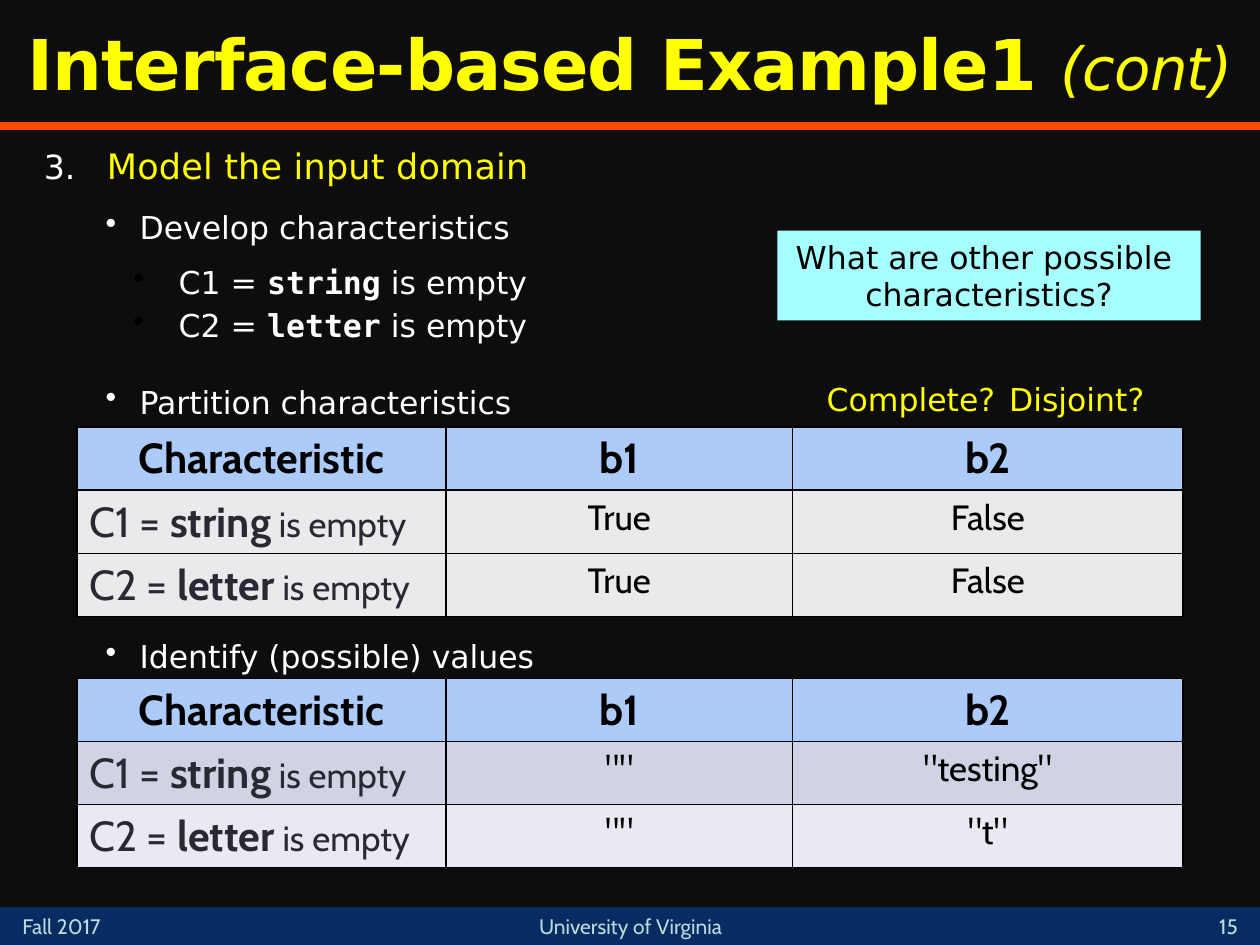
import dataclasses
import typing

import lxml.etree
import pptx
import pptx.dml.color
import pptx.enum.shapes
import pptx.enum.text
import pptx.oxml.ns
import pptx.util

WIDE, HIGH = pptx.util.Inches(10), pptx.util.Inches(7.5)
HUES = {
    "back": "0D0D0D", "foot": "072C62", "pale": "BDDADF", "rule": "FF4C00",
    "gold": "FFFF00", "white": "FFFFFF", "black": "000000", "aqua": "A7FEFF",
    "head": "ACCBF9", "ink": "292934", "gray": "EBE9EC", "dusk": "D0D3E3",
    "mist": "E9EAF1",
}
SANS, MONO, CABIN = "DejaVu Sans", "DejaVu Sans Mono", "Cabin"
ALIGN = pptx.enum.text.PP_ALIGN
ANCHOR = pptx.enum.text.MSO_ANCHOR


class Box(typing.NamedTuple):
    """Place in percent of the slide's width and height."""
    left: float
    top: float
    width: float
    height: float

    def place(self) -> tuple[int, ...]:
        sides = (WIDE, HIGH, WIDE, HIGH)
        return tuple(round(part * side / 100) for part, side in zip(self, sides))


@dataclasses.dataclass
class Run:
    text: str
    size: float = 18
    hue: str = "white"
    font: str = SANS
    bold: bool = False
    slant: bool = False
    track: int = 0


@dataclasses.dataclass
class Line:
    runs: list[Run]
    align: ALIGN = ALIGN.LEFT
    before: float = 0
    after: float = 0
    inset: float = 0
    hang: float = 0
    mark: str = ""
    dot: str = "white"


@dataclasses.dataclass
class Grid:
    top: float
    fills: tuple[str, str]
    values: list[tuple[str, str]]


def color(name: str) -> pptx.dml.color.RGBColor:
    return pptx.dml.color.RGBColor.from_string(HUES[name])


def child(node, tag: str, **attrs: str):
    return lxml.etree.SubElement(node, pptx.oxml.ns.qn(tag), **attrs)


def bullet(para, line: Line) -> None:
    props = para._p.get_or_add_pPr()
    props.set("marL", str(pptx.util.Inches(line.inset)))
    props.set("indent", str(-pptx.util.Inches(line.hang)))
    child(child(props, "a:buClr"), "a:srgbClr", val=HUES[line.dot])
    if line.mark.isdigit():
        child(props, "a:buSzPct", val="95000")
        child(props, "a:buAutoNum", type="arabicPeriod", startAt=line.mark)
    else:
        child(props, "a:buChar", char=line.mark)


def write(frame, lines: list[Line]) -> None:
    for rank, line in enumerate(lines):
        para = frame.add_paragraph() if rank else frame.paragraphs[0]
        para.alignment = line.align
        para.space_before = pptx.util.Pt(line.before)
        para.space_after = pptx.util.Pt(line.after)
        if line.mark:
            bullet(para, line)
        for part in line.runs:
            run = para.add_run()
            run.text = part.text
            run.font.size = pptx.util.Pt(part.size)
            run.font.name = part.font
            run.font.bold, run.font.italic = part.bold, part.slant
            run.font.color.rgb = color(part.hue)
            if part.track:
                run._r.get_or_add_rPr().set("spc", str(part.track))


def label(slide, box: Box, lines: list[Line], anchor=ANCHOR.TOP, wrap=True):
    frame = slide.shapes.add_textbox(*box.place()).text_frame
    frame.word_wrap = wrap
    frame.vertical_anchor = anchor
    write(frame, lines)
    return frame


def block(slide, box: Box, hue: str):
    kind = pptx.enum.shapes.MSO_SHAPE.RECTANGLE
    shape = slide.shapes.add_shape(kind, *box.place())
    shape.shadow.inherit = False
    shape.fill.solid()
    shape.fill.fore_color.rgb = color(hue)
    shape.line.fill.background()
    return shape


def paint(cell, hue: str, line: Line) -> None:
    props = cell._tc.get_or_add_tcPr()
    for side in "LRTB":
        edge = child(props, f"a:ln{side}", w=str(pptx.util.Pt(1)))
        child(child(edge, "a:solidFill"), "a:srgbClr", val=HUES["black"])
    cell.fill.solid()
    cell.fill.fore_color.rgb = color(hue)
    write(cell.text_frame, [line])


def trait(name: str, word: str, size: float, tail: float, hue: str,
          font: str, mono: str) -> list[Run]:
    return [Run(f"{name} = ", size, hue, font),
            Run(word, size, hue, mono, bold=True),
            Run(" is empty", tail, hue, font)]


def table(slide, grid: Grid) -> None:
    box = Box(6.1, grid.top, 87.8, 20)
    chart = slide.shapes.add_table(3, 3, *box.place()).table
    for col, share in zip(chart.columns, (29.3, 27.5, 31)):
        col.width = round(WIDE * share / 100)
    for col, text in enumerate(("Characteristic", "b1", "b2")):
        head = Run(text, 24, "black", CABIN, bold=True)
        paint(chart.cell(0, col), "head", Line([head], ALIGN.CENTER))
    rows = zip(TRAITS, grid.fills, grid.values)
    for row, (pair, hue, values) in enumerate(rows, 1):
        runs = trait(*pair, 24, 20, "ink", CABIN, CABIN)
        paint(chart.cell(row, 0), hue, Line(runs))
        for col, text in enumerate(values, 1):
            line = Line([Run(text, 20, "black", CABIN)], ALIGN.CENTER)
            paint(chart.cell(row, col), hue, line)


def point(text: str, before: float) -> Line:
    return Line([Run(text)], before=before, after=3,
                inset=0.76, hang=0.27, mark="•")


def detail(pair: tuple[str, str], before: float) -> Line:
    return Line(trait(*pair, 18, 18, "white", SANS, MONO), before=before,
                inset=1.07, hang=0.36, mark="•", dot="black")


TRAITS = [("C1", "string"), ("C2", "letter")]
GRIDS = [
    Grid(45.2, ("gray", "gray"), [("True", "False")] * 2),
    Grid(71.8, ("dusk", "mist"), [('""', '"testing"'), ('""', '"t"')]),
]
FEET = [
    (Box(0.8, 96, 11.7, 4), "Fall 2017", ALIGN.LEFT),
    (Box(36.7, 96, 26.7, 4), "University of Virginia", ALIGN.CENTER),
    (Box(95, 96, 5, 4), "15", ALIGN.CENTER),
]
ASKS = [(Box(64.6, 39.6, 15.4, 5.3), "Complete?"),
        (Box(78.9, 39.6, 13.1, 5.3), "Disjoint?")]


def main() -> None:
    deck = pptx.Presentation()
    deck.slide_width, deck.slide_height = WIDE, HIGH
    slide = deck.slides.add_slide(deck.slide_layouts[6])
    slide.background.fill.solid()
    slide.background.fill.fore_color.rgb = color("back")

    # Footer band and rule under the title
    block(slide, Box(0, 96, 100, 4), "foot")
    for box, text, align in FEET:
        label(slide, box, [Line([Run(text, 12, "pale", CABIN)], align)],
              ANCHOR.MIDDLE)
    level = round(HIGH * 2 / 15)
    rule = slide.shapes.add_connector(
        pptx.enum.shapes.MSO_CONNECTOR.STRAIGHT, 0, level, WIDE, level)
    rule.line.color.rgb = color("rule")
    rule.line.width = pptx.util.Pt(4.5)
    child(rule._element.spPr, "a:effectLst")

    # Title and outline
    title = [Run("Interface-based Example1 ", 40, "gold", bold=True, track=-50),
             Run("(cont)", 34, "gold", slant=True, track=-50)]
    label(slide, Box(0, 0, 100, 13.33), [Line(title, ALIGN.CENTER)],
          ANCHOR.MIDDLE)
    step = Line([Run("Model the input domain", 20, "gold", track=10)],
                after=2, inset=0.5, hang=0.5, mark="3")
    body = label(slide, Box(2.5, 14.4, 93.3, 78.9), [
        step, point("Develop characteristics", 10),
        detail(TRAITS[0], 7), detail(TRAITS[1], 3),
        point("Partition characteristics", 22),
        point("Identify (possible) values", 121)])
    body.margin_top = pptx.util.Inches(0.07)

    # Callout, tables and questions
    note = block(slide, Box(61.7, 24.4, 33.6, 9.5), "aqua").text_frame
    note.word_wrap = False
    write(note, [Line([Run(text, hue="black")], ALIGN.CENTER) for text in
                 ("What are other possible ", "characteristics?")])
    for grid in GRIDS:
        table(slide, grid)
    for box, text in ASKS:
        label(slide, box, [Line([Run(text, hue="gold")], ALIGN.CENTER)],
              wrap=False)
    deck.save("out.pptx")


if __name__ == "__main__":
    main()
